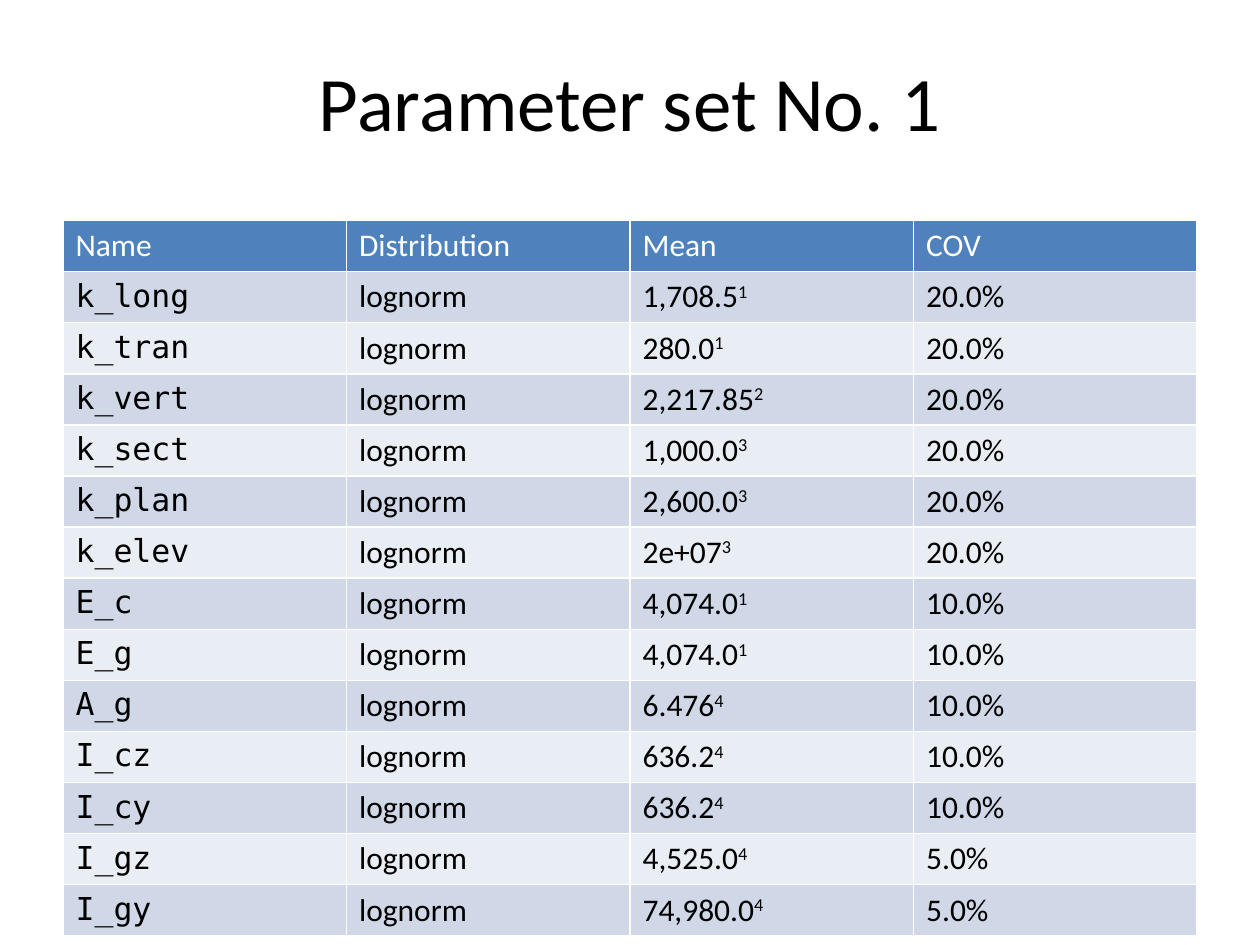
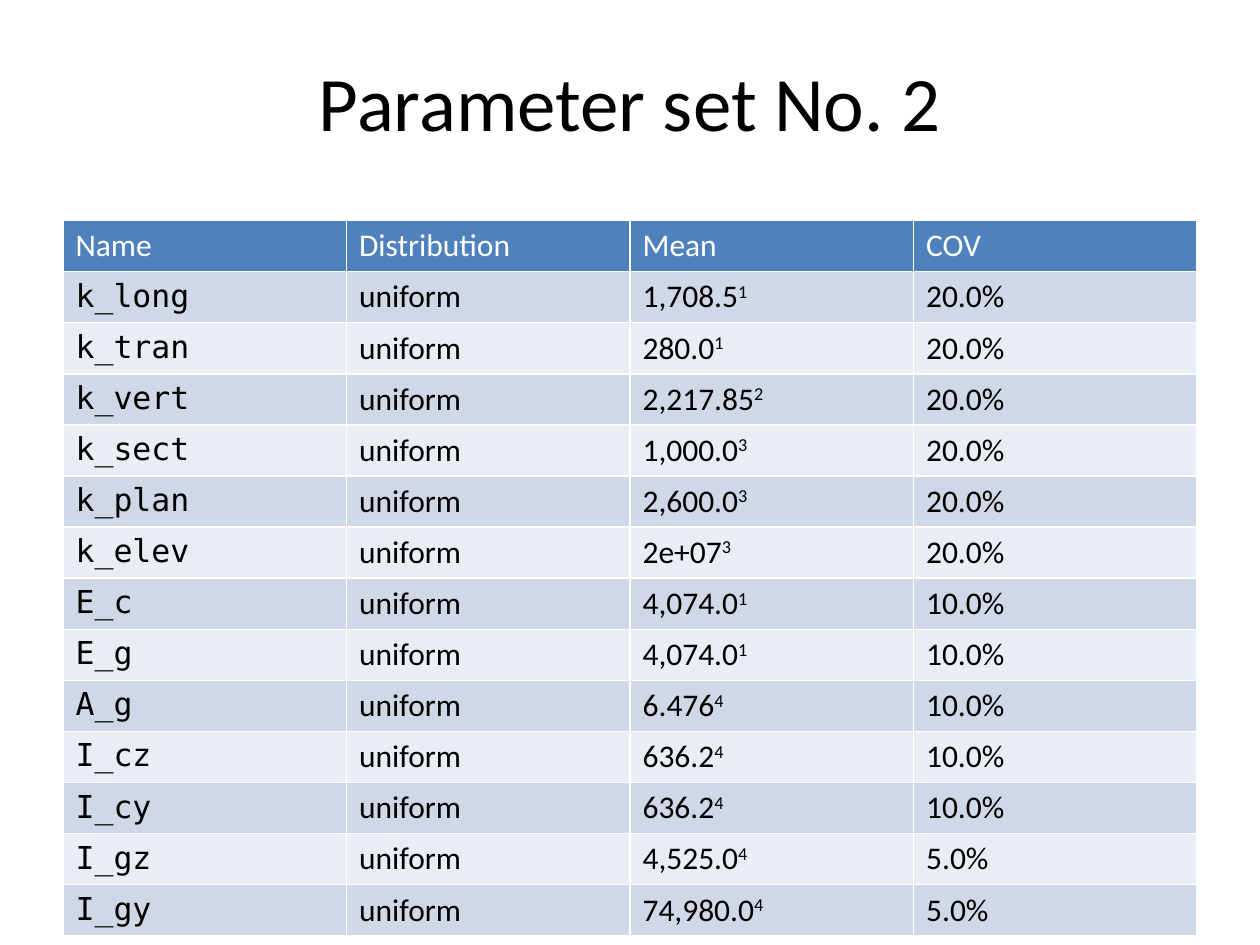
from dataclasses import dataclass

from pptx import Presentation
from pptx.dml.color import RGBColor
from pptx.enum.text import MSO_ANCHOR, PP_ALIGN
from pptx.util import Inches, Pt

MIDDLE = MSO_ANCHOR.MIDDLE
CENTER = PP_ALIGN.CENTER
TITLE_ONLY = 5


@dataclass(frozen=True)
class Theme:
    """Colours, fonts and type sizes shared by the slides."""
    text: RGBColor = RGBColor(0x00, 0x00, 0x00)
    header_text: RGBColor = RGBColor(0xFF, 0xFF, 0xFF)
    header_fill: RGBColor = RGBColor(0x4F, 0x81, 0xBD)
    bands: tuple = (RGBColor(0xD0, 0xD8, 0xE8), RGBColor(0xE9, 0xED, 0xF4))
    font: str = "Calibri"
    code_font: str = "DejaVu Sans Mono"
    title_size: Pt = Pt(44)
    table_size: Pt = Pt(18)


HEADER = ("Name", "Distribution", "Mean", "COV")

# Name, mean, footnote mark of the mean, coefficient of variation
PARAMETERS = (
    ("k_long", "1,708.5", "1", "20.0%"),
    ("k_tran", "280.0", "1", "20.0%"),
    ("k_vert", "2,217.85", "2", "20.0%"),
    ("k_sect", "1,000.0", "3", "20.0%"),
    ("k_plan", "2,600.0", "3", "20.0%"),
    ("k_elev", "2e+07", "3", "20.0%"),
    ("E_c", "4,074.0", "1", "10.0%"),
    ("E_g", "4,074.0", "1", "10.0%"),
    ("A_g", "6.476", "4", "10.0%"),
    ("I_cz", "636.2", "4", "10.0%"),
    ("I_cy", "636.2", "4", "10.0%"),
    ("I_gz", "4,525.0", "4", "5.0%"),
    ("I_gy", "74,980.0", "4", "5.0%"),
)


class Deck:
    """Holds the presentation, its theme and the current slide."""

    def __init__(self, theme):
        """Start an empty 10 by 7.5 inch presentation."""
        self.theme = theme
        self.prs = Presentation()
        self.prs.slide_width = Inches(10)
        self.prs.slide_height = Inches(7.5)

    def add_slide(self, title):
        """Add a slide with a centred title."""
        self.s = self.prs.slides.add_slide(self.prs.slide_layouts[TITLE_ONLY])
        sp = self.s.shapes.title
        sp.left, sp.top = Inches(0.5), Inches(0.3)
        sp.width, sp.height = Inches(9), Inches(1)
        tf = sp.text_frame
        tf.vertical_anchor = MIDDLE
        p = tf.paragraphs[0]
        p.alignment = CENTER
        p.add_run().text = title
        self.set_font(p, self.theme.font, self.theme.title_size, self.theme.text)

    def set_font(self, p, name, size, color):
        """Set the font of a whole paragraph."""
        p.font.name = name
        p.font.size = size
        p.font.bold = False
        p.font.color.rgb = color

    def fill_cell(self, cell, text, fill, color, font, mark=""):
        """Write one table cell, with an optional raised footnote mark."""
        cell.fill.solid()
        cell.fill.fore_color.rgb = fill
        p = cell.text_frame.paragraphs[0]
        p.add_run().text = text
        if mark:
            r = p.add_run()
            r.text = mark
            r.font._element.set("baseline", "30000")
        self.set_font(p, font, self.theme.table_size, color)

    def add_parameter_table(self, distribution):
        """Add the parameter table for one kind of distribution."""
        theme = self.theme
        rows = len(PARAMETERS) + 1
        table = self.s.shapes.add_table(
            rows, len(HEADER), Inches(0.5), Inches(1.75),
            Inches(9), Inches(0.4) * rows).table
        for col, label in enumerate(HEADER):
            self.fill_cell(table.cell(0, col), label, theme.header_fill,
                           theme.header_text, theme.font)
        for row, (name, mean, mark, cov) in enumerate(PARAMETERS, start=1):
            fill = theme.bands[(row - 1) % 2]
            columns = ((name, theme.code_font, ""),
                       (distribution, theme.font, ""),
                       (mean, theme.font, mark),
                       (cov, theme.font, ""))
            for col, (text, font, note) in enumerate(columns):
                self.fill_cell(table.cell(row, col), text, fill,
                               theme.text, font, note)


def main():
    """Build one slide for each parameter set."""
    deck = Deck(Theme())
    for number, distribution in enumerate(("lognorm", "uniform"), start=1):
        deck.add_slide(f"Parameter set No.\u00a0{number}")
        deck.add_parameter_table(distribution)
    deck.prs.save("out.pptx")


main()
